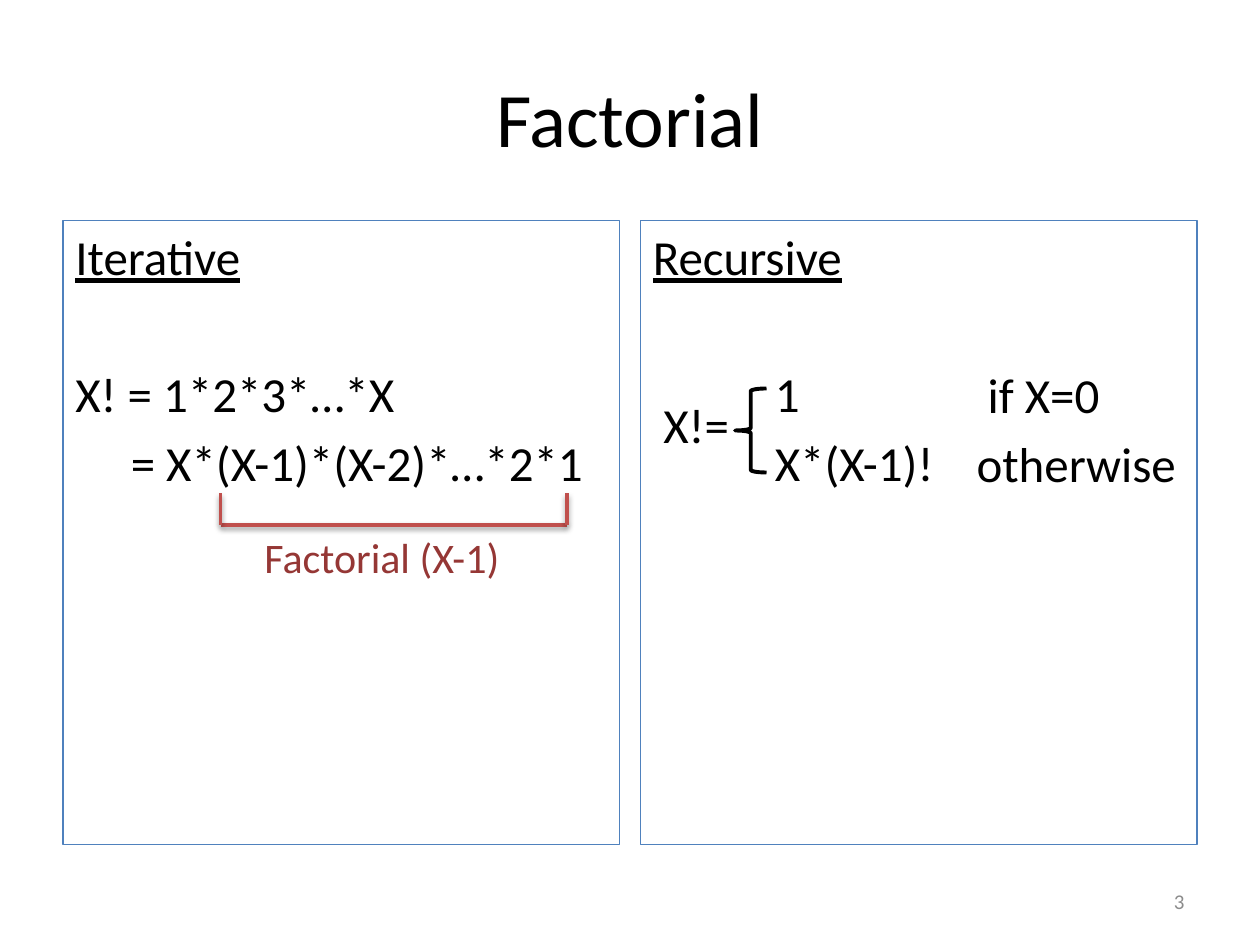
import pptx
import pptx.util
import pptx.dml.color
import pptx.enum.shapes
import pptx.enum.text
import pptx.oxml
import pptx.oxml.ns

Pt = pptx.util.Pt
SHAPE = pptx.enum.shapes.MSO_SHAPE
ALIGN = pptx.enum.text.PP_ALIGN
ANCHOR = pptx.enum.text.MSO_ANCHOR
NS = pptx.oxml.ns.nsdecls("a")
SHADE = (f'<a:effectLst {NS}><a:outerShdw blurRad="{Pt(3.1)}" dist="{Pt(1.6)}" '
         'dir="5400000" rotWithShape="0"><a:srgbClr val="000000">'
         '<a:alpha val="38000"/></a:srgbClr></a:outerShdw></a:effectLst>')


def tint(code):
    """Turn a hex string into a colour."""
    return pptx.dml.color.RGBColor.from_string(code)


def style(para, size, color="000000", align=ALIGN.LEFT):
    """Set the font and alignment of a paragraph."""
    para.font.name = "Calibri"
    para.font.size = Pt(size)
    para.font.color.rgb = tint(color)
    para.alignment = align


def label(shapes, box, text, size, color="000000", align=ALIGN.LEFT, wrap=False):
    """Add a one-line text box."""
    frame = shapes.add_textbox(*map(Pt, box)).text_frame
    frame.word_wrap = wrap
    para = frame.paragraphs[0]
    para.text = text
    style(para, size, color, align)
    return frame


def row(frame, text, gap, indent):
    """Append an indented line to a frame."""
    para = frame.add_paragraph()
    para.text = text
    style(para, 28)
    para.space_before = Pt(gap)
    props = para._p.get_or_add_pPr()
    props.set("marL", str(Pt(indent)))
    props.set("indent", "0")


def head(slide, box, text):
    """Place and fill the title."""
    title = slide.shapes.title
    title.left, title.top, title.width, title.height = map(Pt, box)
    frame = title.text_frame
    frame.text = text
    frame.vertical_anchor = ANCHOR.MIDDLE
    style(frame.paragraphs[0], 44, align=ALIGN.CENTER)


def panel(slide, box, name, lines):
    """Add a framed panel with an underlined heading and two (text, indent) lines."""
    shape = slide.shapes.add_shape(SHAPE.RECTANGLE, *map(Pt, box))
    shape.shadow.inherit = False
    shape.fill.background()
    shape.line.color.rgb = tint("4F81BD")
    shape.line.width = Pt(0.75)
    frame = shape.text_frame
    frame.word_wrap = True
    frame.vertical_anchor = ANCHOR.TOP
    para = frame.paragraphs[0]
    para.text = name
    style(para, 28)
    para.font.underline = True
    for gap, (text, indent) in zip((44.7, 5.4), lines):
        row(frame, text, gap, indent)


def bracket(slide, box, text):
    """Add a shaded square bracket with its label below."""
    left, top, width, height = box
    right, base = left + width, top + height
    group = slide.shapes.add_group_shape()
    for start, end in (((left, base), (right, base)),
                       ((left, base), (left, top)),
                       ((right, base), (right, top))):
        line = group.shapes.add_connector(
            pptx.enum.shapes.MSO_CONNECTOR.STRAIGHT, *map(Pt, start + end))
        line.line.color.rgb = tint("C0504D")
        line.line.width = Pt(2)
        line._element.spPr.append(pptx.oxml.parse_xml(SHADE))
    label(group.shapes, (left + 18, base, 151.2, 36), text, 24, "953735")


def cases(slide, box, text, terms):
    """Add a term, a left brace and the column of conditions."""
    left, top, width, height = box
    brace = slide.shapes.add_shape(
        SHAPE.LEFT_BRACE, Pt(left + 48), Pt(top), Pt(18), Pt(height))
    brace.shadow.inherit = False
    brace.fill.background()
    brace.line.color.rgb = tint("000000")
    brace.line.width = Pt(2.25)
    label(slide.shapes, (left, top, 52.6, 41), text, 28)
    first, second = terms
    frame = label(slide.shapes, (left + 179, top - 17, width - 179, 82),
                  first, 28, wrap=True)
    frame.paragraphs[0]._p.get_or_add_pPr().set("marL", str(Pt(6.3)))
    row(frame, second, 5.4, 0)


def main():
    """Build the slide and save it."""
    deck = pptx.Presentation()
    deck.slide_width, deck.slide_height = Pt(720), Pt(540)
    slide = deck.slides.add_slide(deck.slide_layouts[5])
    head(slide, (36, 21.6, 648, 90), "Factorial")
    panel(slide, (36, 126, 318, 356.4), "Iterative",
          [("X! = 1*2*3*…*X", 0), ("= X*(X-1)*(X-2)*…*2*1", 31.7)])
    panel(slide, (366, 126, 318, 356.4), "Recursive",
          [("1", 69.7), ("X*(X-1)!", 69.7)])
    cases(slide, (372, 222, 312, 48), "X!=", ("if X=0", "otherwise"))
    bracket(slide, (126, 282, 198, 18), "Factorial (X-1)")
    page = label(slide.shapes, (516, 500.5, 168, 28.8), "3", 12, "8C8C8C",
                 ALIGN.RIGHT, True)
    page.vertical_anchor = ANCHOR.MIDDLE
    deck.save("out.pptx")


main()
